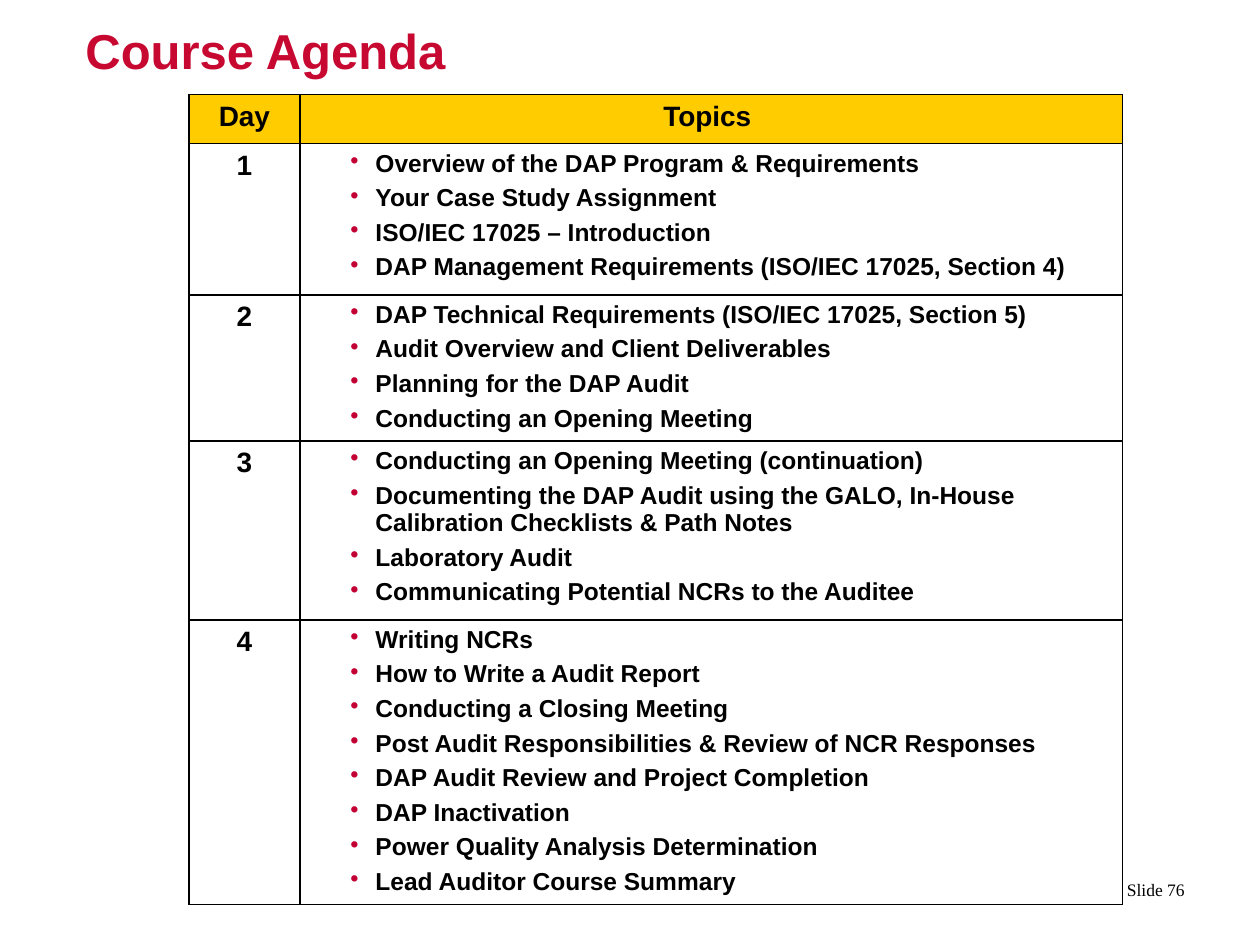
from dataclasses import dataclass

from lxml import etree
from pptx import Presentation
from pptx.dml.color import RGBColor
from pptx.enum import text
from pptx.oxml import ns
from pptx.util import Inches, Pt

CRIMSON = RGBColor(0xC7, 0x09, 0x32)
BULLET_RED = RGBColor(0xC3, 0x00, 0x34)
GOLD = RGBColor(0xFF, 0xCC, 0x00)
BLACK = RGBColor(0x00, 0x00, 0x00)

COLUMN_WIDTHS = (0.88, 6.53)
ROW_HEIGHTS = (0.39, 1.2, 1.16, 1.42, 2.26)
HEADINGS = ("Day", "Topics ")
DAYS = (
    (
        "Overview of the DAP Program & Requirements",
        "Your Case Study Assignment",
        "ISO/IEC 17025 – Introduction",
        "DAP Management Requirements (ISO/IEC 17025, Section 4)",
    ),
    (
        "DAP Technical Requirements (ISO/IEC 17025, Section 5)",
        "Audit Overview and Client Deliverables",
        "Planning for the DAP Audit",
        "Conducting an Opening Meeting",
    ),
    (
        "Conducting an Opening Meeting (continuation)",
        "Documenting the DAP Audit using the GALO, In-House "
        "Calibration Checklists & Path Notes",
        "Laboratory Audit",
        "Communicating Potential NCRs to the Auditee",
    ),
    (
        "Writing NCRs",
        "How to Write a Audit Report",
        "Conducting a Closing Meeting",
        "Post Audit Responsibilities & Review of NCR Responses",
        "DAP Audit Review and Project Completion",
        "DAP Inactivation",
        "Power Quality Analysis Determination",
        "Lead Auditor Course Summary",
    ),
)


@dataclass(frozen=True)
class Style:
    size: float
    color: RGBColor = BLACK
    name: str = "Arial"
    bold: bool = True
    align: text.PP_ALIGN = text.PP_ALIGN.LEFT


@dataclass(frozen=True)
class Label:
    wording: str
    left: float
    top: float
    width: float
    height: float
    style: Style
    anchor: text.MSO_ANCHOR


LABEL_STYLE = Style(16, align=text.PP_ALIGN.CENTER)
TOPIC_STYLE = Style(14)
LABELS = (
    Label("Course Agenda", 0.58, 0.11, 9.17, 0.97,
          Style(28, CRIMSON), text.MSO_ANCHOR.TOP),
    Label("Slide 76", 8.8, 6.86, 0.7, 0.4,
          Style(10, name="Times New Roman", bold=False,
                align=text.PP_ALIGN.RIGHT), text.MSO_ANCHOR.MIDDLE),
)


def write(para, wording: str, style: Style) -> None:
    span = para.add_run()
    span.text = wording
    para.alignment = style.align
    formats = {"size": Pt(style.size), "name": style.name, "bold": style.bold}
    for key, value in formats.items():
        setattr(span.font, key, value)
    span.font.color.rgb = style.color


def add_label(page, label: Label) -> None:
    box = page.shapes.add_textbox(
        *map(Inches, (label.left, label.top, label.width, label.height)))
    frame = box.text_frame
    frame.word_wrap = True
    frame.vertical_anchor = label.anchor
    write(frame.paragraphs[0], label.wording, label.style)


def add_bullet(para) -> None:
    """Give a paragraph a hanging red bullet."""
    props = para._p.get_or_add_pPr()
    props.set("marL", str(Inches(0.5)))
    props.set("indent", str(Inches(-0.2)))
    color = etree.SubElement(props, ns.qn("a:buClr"))
    etree.SubElement(color, ns.qn("a:srgbClr"), val=str(BULLET_RED))
    etree.SubElement(props, ns.qn("a:buChar"), char="•")


def write_topics(cell, topics: tuple[str, ...]) -> None:
    frame = cell.text_frame
    for index, topic in enumerate(topics):
        para = frame.add_paragraph() if index else frame.paragraphs[0]
        add_bullet(para)
        para.space_before = Pt(2 if index else 0)
        para.space_after = Pt(2)
        write(para, topic, TOPIC_STYLE)


def add_borders(cell) -> None:
    props = cell._tc.get_or_add_tcPr()
    for index, side in enumerate(("lnL", "lnR", "lnT", "lnB")):
        line = etree.Element(ns.qn(f"a:{side}"), w=str(Pt(0.96)))
        fill = etree.SubElement(line, ns.qn("a:solidFill"))
        etree.SubElement(fill, ns.qn("a:srgbClr"), val=str(BLACK))
        props.insert(index, line)


def add_agenda(page) -> None:
    table = page.shapes.add_table(
        len(ROW_HEIGHTS), len(COLUMN_WIDTHS), Inches(1.5), Inches(0.75),
        Inches(sum(COLUMN_WIDTHS)), Inches(sum(ROW_HEIGHTS))).table
    table.first_row = table.horz_banding = False
    for column, width in zip(table.columns, COLUMN_WIDTHS):
        column.width = Inches(width)
    for row, height in zip(table.rows, ROW_HEIGHTS):
        row.height = Inches(height)
    for cell in table.iter_cells():
        cell.fill.background()
        add_borders(cell)

    for column, heading in enumerate(HEADINGS):
        cell = table.cell(0, column)
        cell.fill.solid()
        cell.fill.fore_color.rgb = GOLD
        write(cell.text_frame.paragraphs[0], heading, LABEL_STYLE)
    for day, topics in enumerate(DAYS, start=1):
        write(table.cell(day, 0).text_frame.paragraphs[0], str(day), LABEL_STYLE)
        write_topics(table.cell(day, 1), topics)


def main() -> None:
    deck = Presentation()
    deck.slide_width, deck.slide_height = Inches(10), Inches(7.5)
    page = deck.slides.add_slide(deck.slide_layouts[6])
    add_agenda(page)
    for label in LABELS:
        add_label(page, label)
    deck.save("out.pptx")


if __name__ == "__main__":
    main()
